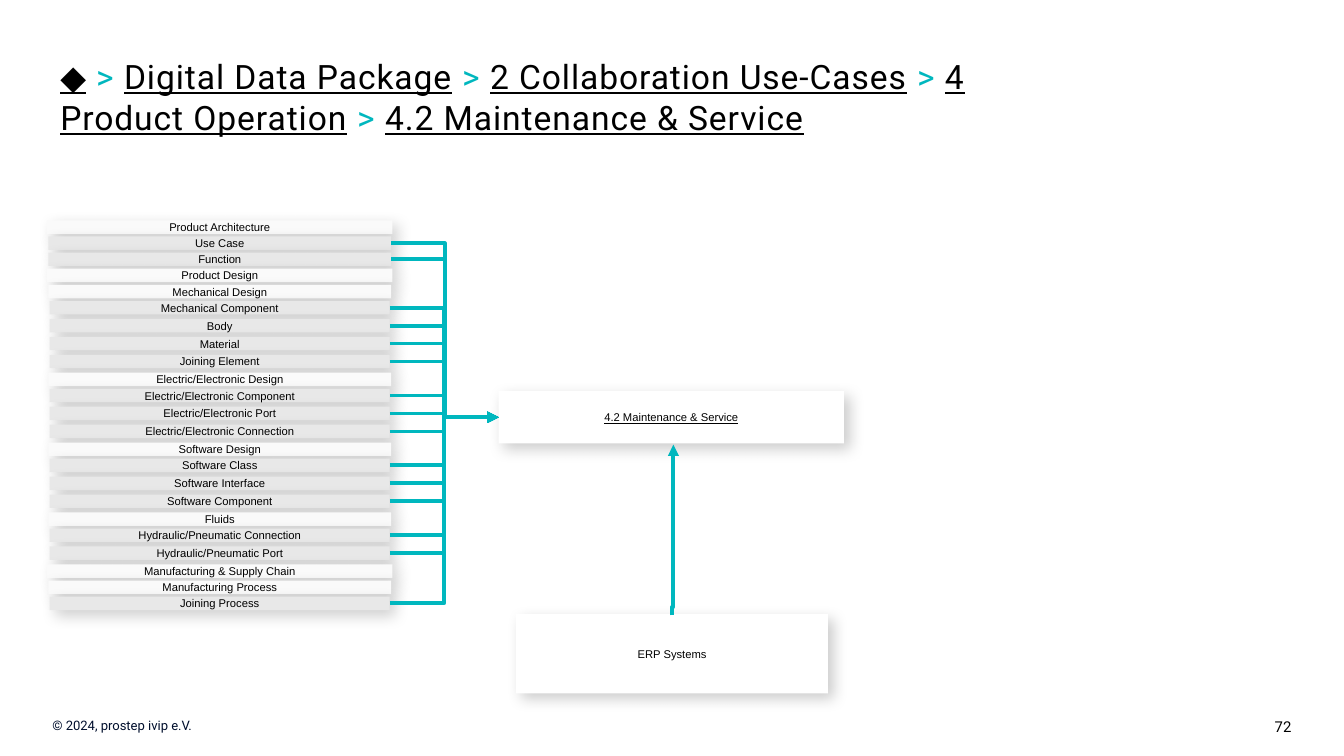
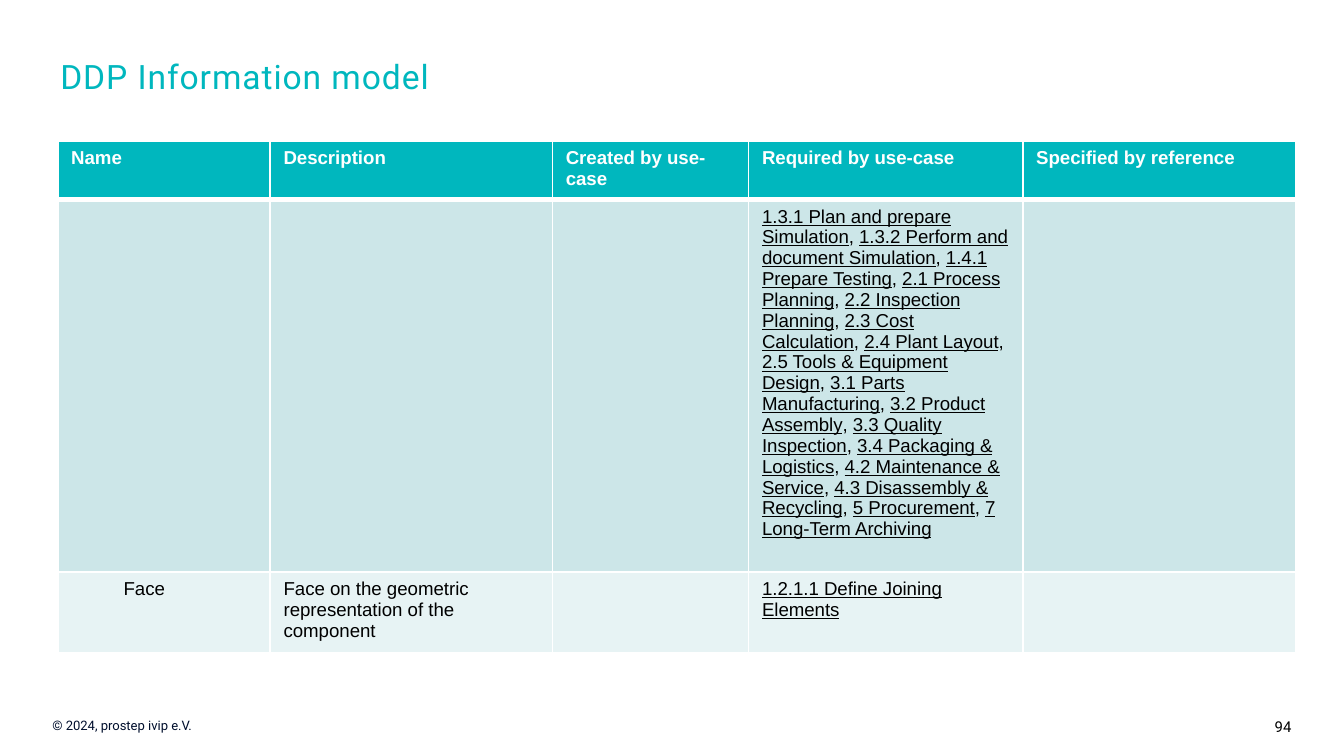
from lxml.etree import SubElement
from pptx import Presentation
from pptx.dml.color import RGBColor
from pptx.enum.shapes import MSO_CONNECTOR as Link, MSO_SHAPE as Shape
from pptx.enum.text import MSO_ANCHOR as Anchor, MSO_AUTO_SIZE as Fit, PP_ALIGN as Align
from pptx.oxml.ns import qn
from pptx.util import Inches, Pt

TEAL = RGBColor(0x00, 0xB7, 0xBE)
NAVY = RGBColor(0x00, 0x0F, 0x2D)
BLACK = RGBColor(0x00, 0x00, 0x00)
WHITE = RGBColor(0xFF, 0xFF, 0xFF)
HEADING_GREY = RGBColor(0xFA, 0xFA, 0xFA)
ITEM_GREY = RGBColor(0xE8, 0xE8, 0xE8)
ROW_TINTS = [RGBColor(0xCC, 0xE6, 0xE8), RGBColor(0xE7, 0xF3, 0xF4)]

# Content
COPYRIGHT = "© 2024, prostep ivip e.V."
USE_CASE = "4.2 Maintenance & Service"
SOURCE_SYSTEM = "ERP Systems"
BREADCRUMB = ["◆", "Digital Data Package", "2 Collaboration Use-Cases",
              "4 Product Operation", USE_CASE]
MODEL_TITLE = "DDP Information model"

# (level, heading, items)
INFORMATION = [
    (1, "Product Architecture", ["Use Case", "Function"]),
    (1, "Product Design", []),
    (2, "Mechanical Design",
     ["Mechanical Component", "Body", "Material", "Joining Element"]),
    (2, "Electric/Electronic Design",
     ["Electric/Electronic Component", "Electric/Electronic Port",
      "Electric/Electronic Connection"]),
    (2, "Software Design",
     ["Software Class", "Software Interface", "Software Component"]),
    (2, "Fluids", ["Hydraulic/Pneumatic Connection", "Hydraulic/Pneumatic Port"]),
    (1, "Manufacturing & Supply Chain", []),
    (2, "Manufacturing Process", ["Joining Process"]),
]

MODEL_COLUMNS = [("Name", 1.58), ("Description", 2.1), ("Created by use-case", 1.46),
                 ("Required by use-case", 2.04), ("Specified by reference", 2.03)]
MODEL_ROW_HEIGHTS = [0.16, 0.16, 0.5]
MODEL_TEXT_SIZE = 10
# (name, description, required by)
MODEL_ROWS = [
    ("", "", ["1.3.1 Plan and prepare Simulation", "1.3.2 Perform and document Simulation",
              "1.4.1 Prepare Testing", "2.1 Process Planning", "2.2 Inspection Planning",
              "2.3 Cost Calculation", "2.4 Plant Layout", "2.5 Tools & Equipment Design",
              "3.1 Parts Manufacturing", "3.2 Product Assembly", "3.3 Quality Inspection",
              "3.4 Packaging & Logistics", USE_CASE, "4.3 Disassembly & Recycling",
              "5 Procurement", "7 Long-Term Archiving"]),
    ("Face", "Face on the geometric representation of the component",
     ["1.2.1.1 Define Joining Elements"]),
]


# Text
def add_run(paragraph, text, size, color=BLACK, font="Arial", spacing=None, **formats):
    run = paragraph.add_run()
    run.text = text
    formats.update(size=Pt(size), name=font)
    for key, value in formats.items():
        setattr(run.font, key, value)
    run.font.color.rgb = color
    if spacing:
        run._r.get_or_add_rPr().set("spc", str(spacing))


def add_joined(paragraph, parts, separator, separator_color, size, **formats):
    """Underlined parts with plain separators between them."""
    for index, part in enumerate(parts):
        if index:
            add_run(paragraph, separator, size, separator_color, **formats)
        add_run(paragraph, part, size, underline=True, **formats)


def set_frame(frame, **formats):
    frame.word_wrap = True
    for key, value in formats.items():
        setattr(frame, key, value)


def add_text_box(slide, left, top, width, height, **formats):
    box = slide.shapes.add_textbox(*map(Inches, (left, top, width, height)))
    set_frame(box.text_frame, **formats)
    return box.text_frame.paragraphs[0]


# Shared slide parts
def add_base(prs, number):
    """New slide with footers; returns the slide and its title paragraph."""
    slide = prs.slides.add_slide(prs.slide_layouts[6])
    page = add_text_box(slide, 9.09, 5.29, 0.91, 0.24, margin_right=Inches(0.39),
                        auto_size=Fit.SHAPE_TO_FIT_TEXT)
    page.alignment = Align.RIGHT
    add_run(page, str(number), 8, font="Roboto")
    footer = add_text_box(slide, 0, 5.29, 2.4, 0.22, margin_left=Inches(0.39),
                          auto_size=Fit.SHAPE_TO_FIT_TEXT)
    add_run(footer, COPYRIGHT, 7, NAVY, "Roboto")
    return slide, add_text_box(slide, 0.35, 0.37, 7.49, 0.68)


# Diagram parts
def add_shadow(shape):
    shape.shadow.inherit = False
    effects = shape._element.spPr.find(qn("a:effectLst"))
    shadow = SubElement(effects, qn("a:outerShdw"), blurRad=str(Pt(8)), dist=str(Pt(4)),
                        dir=str(45 * 60000), algn="tl", rotWithShape="0")
    color = SubElement(shadow, qn("a:srgbClr"), val=str(BLACK))
    SubElement(color, qn("a:alpha"), val="20000")


def add_card(slide, at, text, fill, anchor=Anchor.MIDDLE, margin=0, **formats):
    card = slide.shapes.add_shape(Shape.RECTANGLE, *map(Inches, at))
    card.fill.solid()
    card.fill.fore_color.rgb = fill
    card.line.fill.background()
    add_shadow(card)
    sides = ("left", "top", "right", "bottom")
    set_frame(card.text_frame, vertical_anchor=anchor,
              **{f"margin_{side}": Inches(margin) for side in sides})
    paragraph = card.text_frame.paragraphs[0]
    paragraph.alignment = Align.CENTER
    add_run(paragraph, text, 6, **formats)
    return card


def add_arrow(slide, start, end, bend):
    arrow = slide.shapes.add_connector(Link.ELBOW, *map(Inches, start + end))
    arrow.line.color.rgb = TEAL
    arrow.line.width = Pt(2)
    SubElement(arrow.line._get_or_add_ln(), qn("a:tailEnd"), type="triangle")
    properties = arrow._element.spPr
    SubElement(properties, qn("a:effectLst"))
    adjust = properties.find(qn("a:prstGeom")).get_or_add_avLst()
    SubElement(adjust, qn("a:gd"), name="adj1", fmla=f"val {round(bend * 100000)}")
    return arrow


def build_use_case(prs):
    slide, title = add_base(prs, 72)
    add_joined(title, BREADCRUMB, " > ", TEAL, 18, font="Roboto", spacing=50)

    use_case = add_card(slide, (3.71, 2.91, 2.57, 0.39), USE_CASE, WHITE,
                        margin=0.04, underline=True)
    add_card(slide, (3.84, 4.57, 2.32, 0.59), SOURCE_SYSTEM, WHITE)

    # Upward arrow: a horizontal elbow turned by 90 degrees
    upward = add_arrow(slide, (5.64, 3.95), (4.37, 3.94), 0.05)
    upward._element.spPr.find(qn("a:xfrm")).set("rot", str(90 * 60000))

    # Each level is inset by 0.01 on both sides; third-level rows stand wider apart
    top = 1.64
    for level, heading, items in INFORMATION:
        rows = [(level, heading, False)] + [(level + 1, item, True) for item in items]
        for depth, text, is_item in rows:
            inset = 0.01 * (depth - 1)
            card = add_card(slide, (0.35 + inset, top, 2.57 - 2 * inset, 0.1), text,
                            ITEM_GREY if is_item else HEADING_GREY,
                            Anchor.MIDDLE if is_item else Anchor.TOP)
            if is_item:
                arrow = add_arrow(slide, (2.91, top + 0.05), (3.71, 3.11), 0.5)
                arrow.begin_connect(card, 3)
                arrow.end_connect(use_case, 1)
            top += 0.4 / 3 if depth == 3 else 0.12


# Table
def style_cell(cell, fill, bottom=1):
    properties = cell._tc.get_or_add_tcPr()
    for side, width in (("L", 1), ("R", 1), ("T", 1), ("B", bottom)):
        border = SubElement(properties, qn(f"a:ln{side}"), w=str(Pt(width)))
        SubElement(SubElement(border, qn("a:solidFill")), qn("a:srgbClr"), val=str(WHITE))
    cell.fill.solid()
    cell.fill.fore_color.rgb = fill


def build_model(prs):
    slide, title = add_base(prs, 94)
    add_run(title, MODEL_TITLE, 18, TEAL, "Roboto", 50)

    model = slide.shapes.add_table(
        len(MODEL_ROW_HEIGHTS), len(MODEL_COLUMNS), Inches(0.43), Inches(1.05),
        Inches(9.21), Inches(sum(MODEL_ROW_HEIGHTS))).table
    model.horz_banding = False
    for row, height in zip(model.rows, MODEL_ROW_HEIGHTS):
        row.height = Inches(height)

    for index, (heading, width) in enumerate(MODEL_COLUMNS):
        model.columns[index].width = Inches(width)
        cell = model.cell(0, index)
        style_cell(cell, TEAL, bottom=3)
        add_run(cell.text_frame.paragraphs[0], heading, MODEL_TEXT_SIZE, WHITE, bold=True)

    for number, (name, description, required) in enumerate(MODEL_ROWS, 1):
        cells = model.rows[number].cells
        for cell in cells:
            style_cell(cell, ROW_TINTS[number - 1])
        for cell, text in zip(cells, (name, description)):
            if text:
                add_run(cell.text_frame.paragraphs[0], text, MODEL_TEXT_SIZE)
        if name:
            cells[0].margin_left = Inches(0.49)
        add_joined(cells[3].text_frame.paragraphs[0], required, ", ", BLACK,
                   MODEL_TEXT_SIZE)

    # Empty cells and line ends keep the text size, so rows do not grow
    for cell in model.iter_cells():
        SubElement(cell.text_frame.paragraphs[0]._p, qn("a:endParaRPr"),
                   sz=str(MODEL_TEXT_SIZE * 100))


def main():
    prs = Presentation()
    prs.slide_width = Inches(10)
    prs.slide_height = prs.slide_width * 9 // 16
    build_use_case(prs)
    build_model(prs)
    prs.save("out.pptx")


if __name__ == "__main__":
    main()
